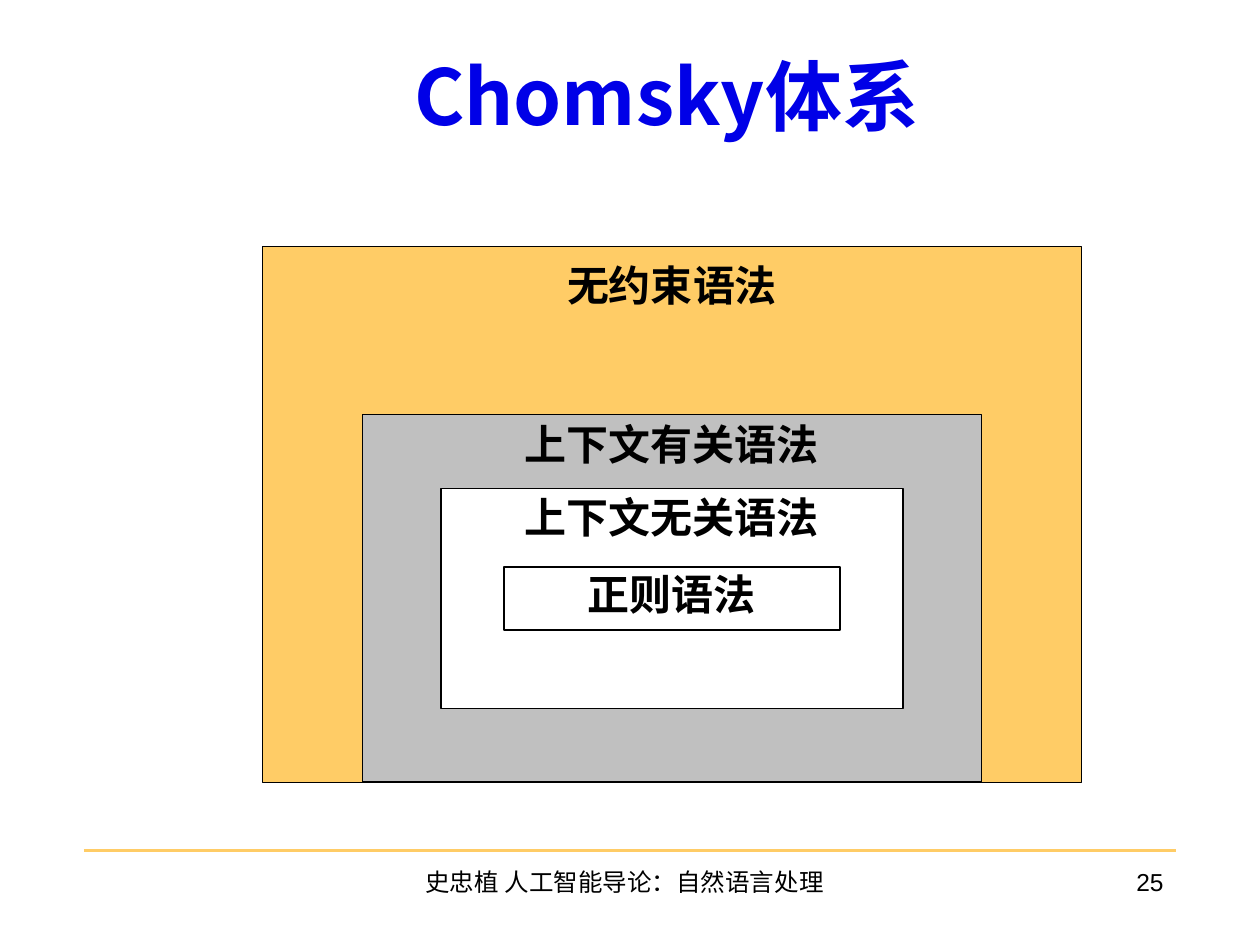
from lxml import etree
from pptx import Presentation
from pptx.dml.color import RGBColor
from pptx.enum import shapes, text
from pptx.oxml import ns
from pptx.util import Pt

INK, GOLD = "000000", "FFCC66"
MID = 384
RINGS = [
    ("无约束语法", 468, 141, 306, GOLD, 7),
    ("上下文有关语法", 354, 237, 210, "C0C0C0", 2),
    ("上下文无关语法", 264, 279, 126, "FFFFFF", 2),
    ("正则语法", 192, 324, 36, "FFFFFF", 1),
]


def tint(code):
    return RGBColor.from_string(code)


class Deck:
    """Holds the style and the current slide."""

    def __init__(self):
        self.prs = Presentation()
        self.prs.slide_width, self.prs.slide_height = Pt(720), Pt(540)
        self.slide = self.prs.slides.add_slide(self.prs.slide_layouts[5])

    def label(self, frame, words, size, font, color=INK, bold=False, align="CENTER"):
        para = frame.paragraphs[0]
        para.alignment = text.PP_ALIGN[align]
        run = para.add_run()
        run.text = words
        run.font.size, run.font.name, run.font.bold = Pt(size), font, bold
        run.font.color.rgb = tint(color)

    def title(self, words, x, y, w, h):
        box = self.slide.shapes.title
        box.left, box.top, box.width, box.height = Pt(x), Pt(y), Pt(w), Pt(h)
        box.text_frame.vertical_anchor = text.MSO_ANCHOR.MIDDLE
        self.label(box.text_frame, words, 44, "Noto Sans CJK SC", "0000E7", True)

    def ring(self, words, w, y, h, fill, inset):
        box = self.slide.shapes.add_shape(
            shapes.MSO_SHAPE.RECTANGLE, Pt(MID - w / 2), Pt(y), Pt(w), Pt(h))
        box.shadow.inherit = False
        box.fill.solid()
        box.fill.fore_color.rgb = tint(fill)
        box.line.color.rgb = tint(INK)
        box.line.width = Pt(0.75)
        frame = box.text_frame
        frame.word_wrap = False
        frame.vertical_anchor = text.MSO_ANCHOR.TOP
        frame.margin_top, frame.margin_bottom = Pt(inset), Pt(0)
        self.label(frame, words, 24, "Times New Roman", bold=True)

    def rule(self, x, y, end):
        line = self.slide.shapes.add_connector(
            shapes.MSO_CONNECTOR.STRAIGHT, Pt(x), Pt(y), Pt(end), Pt(y))
        line.line.color.rgb = tint(GOLD)
        line.line.width = Pt(1.5)
        etree.SubElement(line.element.spPr, ns.qn("a:effectLst"))

    def note(self, words, x, w, align):
        box = self.slide.shapes.add_textbox(Pt(x), Pt(492), Pt(w), Pt(36))
        box.text_frame.word_wrap = True
        self.label(box.text_frame, words, 14, "Arial", align=align)


def main():
    deck = Deck()
    deck.rule(48, 486, 672)
    deck.title("Chomsky体系", 60, 9, 642, 90)
    for ring in RINGS:
        deck.ring(*ring)
    deck.note("史忠植 人工智能导论：自然语言处理", 235, 244, "CENTER")
    deck.note("25", 522, 150, "RIGHT")
    deck.prs.save("out.pptx")


if __name__ == "__main__":
    main()
